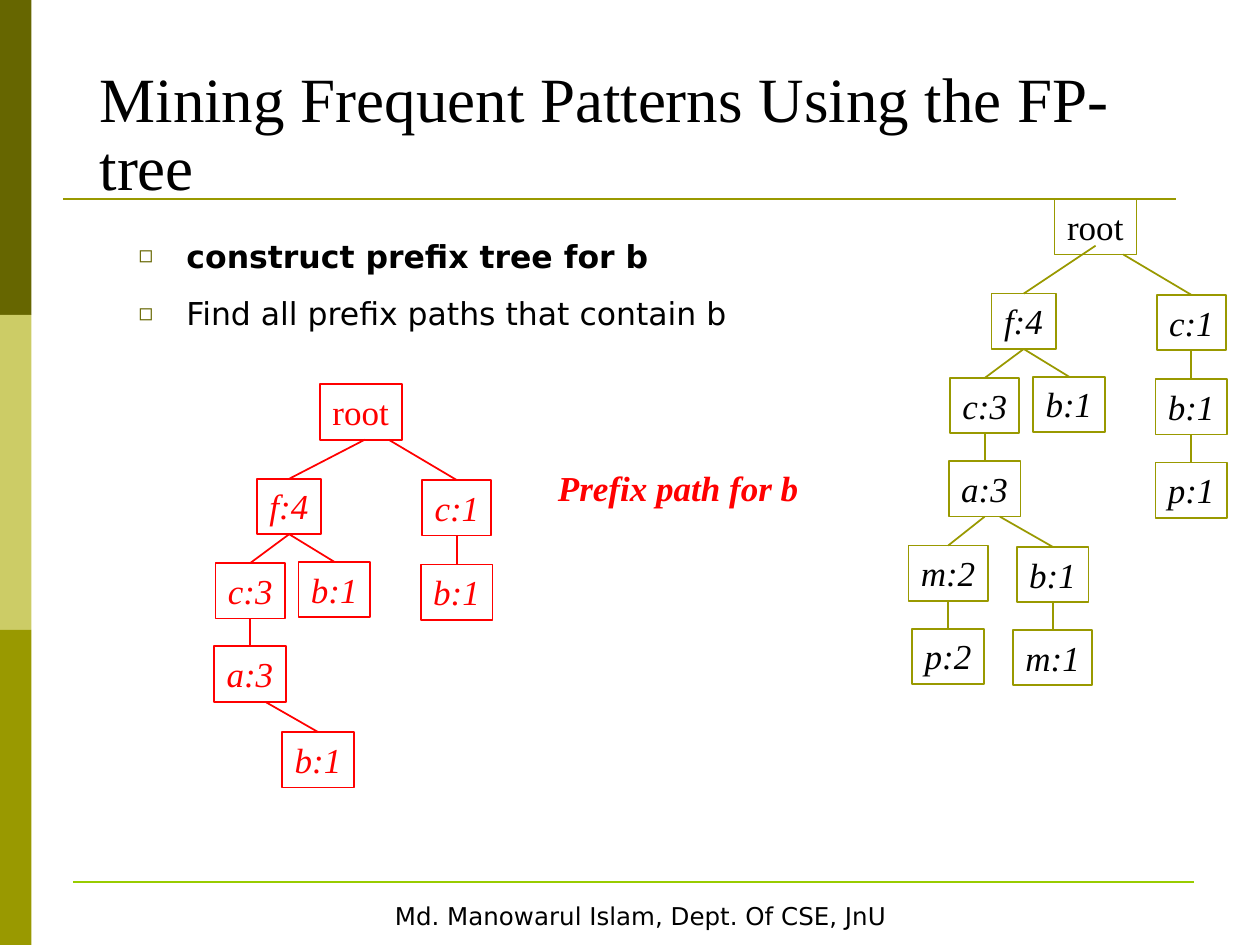
"""Build the slide on mining prefix paths for b from an FP-tree."""
import lxml.etree
import pptx
import pptx.dml.color
import pptx.enum.shapes
import pptx.enum.text
import pptx.oxml.ns
import pptx.util

RGB = pptx.dml.color.RGBColor
ALIGN = pptx.enum.text.PP_ALIGN
ANCHOR = pptx.enum.text.MSO_ANCHOR
AUTO_SIZE = pptx.enum.text.MSO_AUTO_SIZE
RECTANGLE = pptx.enum.shapes.MSO_SHAPE.RECTANGLE
STRAIGHT = pptx.enum.shapes.MSO_CONNECTOR.STRAIGHT

EMU_PER_PX = 9144
BLACK = RGB(0x00, 0x00, 0x00)
WHITE = RGB(0xFF, 0xFF, 0xFF)
RED = RGB(0xFF, 0x00, 0x00)
OLIVE = RGB(0x99, 0x99, 0x00)
DARK_OLIVE = RGB(0x66, 0x66, 0x00)
PALE_OLIVE = RGB(0xCC, 0xCC, 0x66)
LIME = RGB(0x98, 0xCC, 0x00)
SERIF = "Times New Roman"
SANS = "DejaVu Sans"

TITLE = "Mining Frequent Patterns Using the FP-tree"
BULLETS = [
    ("construct prefix tree for b", True, ALIGN.LEFT),
    ("Find all prefix paths that contain b", False, ALIGN.JUSTIFY),
]
CAPTION = "Prefix path for b"
FOOTER = "Md. Manowarul Islam, Dept. Of CSE, JnU"

SIDE_BANDS = [DARK_OLIVE, PALE_OLIVE, OLIVE]
RULES = [((50, 158), (933, 158), OLIVE), ((58, 700), (948, 700), LIME)]

NODE_HEIGHT = 44
NODE_RIGHT_INSET = 5
NODE_WIDTHS = {"r": 65, "f": 51, "c": 55, "a": 57, "b": 57, "p": 57, "m": 63}
# name: label, left, top, parent, shift of the branch start from the parent's centre
NODES = {
    "root": ("root", 837, 158, None, 0),
    "f": ("f:4", 787, 233, "root", 0),
    "f-c": ("c:3", 754, 300, "f", 0),
    "f-c-a": ("a:3", 753, 366, "f-c", 0),
    "f-c-a-m": ("m:2", 721, 433, "f-c-a", 0),
    "f-c-a-m-p": ("p:2", 724, 499, "f-c-a-m", 0),
    "f-c-a-b": ("b:1", 807, 434, "f-c-a", 12),
    "f-c-a-b-m": ("m:1", 804, 500, "f-c-a-b", 0),
    "f-b": ("b:1", 820, 299, "f", 0),
    "c": ("c:1", 918, 234, "root", 22),
    "c-b": ("b:1", 917, 301, "c", 0),
    "c-b-p": ("p:1", 917, 367, "c-b", 0),
}
PREFIX_NODES = ["root", "f", "f-c", "f-c-a", "f-c-a-b", "f-b", "c", "c-b"]
TREES = [
    (PREFIX_NODES, (-583, 147), RED, RED, {"f": (3, 0)}),
    (list(NODES), (0, 0), OLIVE, BLACK, {"f": (0, -7)}),
]


def px(length):
    return pptx.util.Emu(round(length * EMU_PER_PX))


def place(shape, left, top, width, height):
    shape.left, shape.top = px(left), px(top)
    shape.width, shape.height = px(width), px(height)


def add_span(para, text, size, face, color, bold=False, italic=False):
    span = para.add_run()
    span.text = text
    span.font.size = pptx.util.Pt(size)
    span.font.name = face
    span.font.color.rgb = color
    span.font.bold, span.font.italic = bold, italic


def add_box(shapes, left, top, width, height, fill=None, line=None, weight=1):
    box = shapes.add_shape(RECTANGLE, px(left), px(top), px(width), px(height))
    box.shadow.inherit = False
    if fill is None:
        box.fill.background()
    else:
        box.fill.solid()
        box.fill.fore_color.rgb = fill
    if line is None:
        box.line.fill.background()
    else:
        box.line.color.rgb = line
        box.line.width = pptx.util.Pt(weight)
    box.text_frame.word_wrap = False
    box.text_frame.vertical_anchor = ANCHOR.TOP
    return box


def add_line(shapes, start, end, color, weight):
    line = shapes.add_connector(STRAIGHT, px(start[0]), px(start[1]), px(end[0]), px(end[1]))
    line.line.color.rgb = color
    line.line.width = pptx.util.Pt(weight)
    lxml.etree.SubElement(line._element.spPr, pptx.oxml.ns.qn("a:effectLst"))


def add_bullet(para):
    props = para._p.get_or_add_pPr()
    props.set("marL", str(px(38)))
    props.set("indent", str(px(-38)))
    color = lxml.etree.SubElement(props, pptx.oxml.ns.qn("a:buClr"))
    lxml.etree.SubElement(color, pptx.oxml.ns.qn("a:srgbClr"), val=str(DARK_OLIVE))
    lxml.etree.SubElement(props, pptx.oxml.ns.qn("a:buSzPct"), val="75000")
    lxml.etree.SubElement(props, pptx.oxml.ns.qn("a:buChar"), char="◻")


def add_tree(slide, names, offset, line_color, text_color, start_shifts):
    shapes = slide.shapes.add_group_shape().shapes
    centres = {}
    for name in names:
        label, left, top, parent, branch_shift = NODES[name]
        left, top = left + offset[0], top + offset[1]
        width = NODE_WIDTHS[label[0]]
        centres[name] = (left + width / 2, top)
        box = add_box(shapes, left, top, width, NODE_HEIGHT, line=line_color)
        box.text_frame.auto_size = AUTO_SIZE.SHAPE_TO_FIT_TEXT
        box.text_frame.margin_right = px(NODE_RIGHT_INSET)
        para = box.text_frame.paragraphs[0]
        para.alignment = ALIGN.LEFT
        add_span(para, label, 20, SERIF, text_color, italic=parent is not None)
        if parent:
            parent_x, parent_top = centres[parent]
            shift_x, shift_y = start_shifts.get(name, (branch_shift, 0))
            start = (parent_x + shift_x, parent_top + NODE_HEIGHT + shift_y)
            add_line(shapes, start, centres[name], line_color, 1)


def main():
    deck = pptx.Presentation()
    deck.slide_width, deck.slide_height = px(1000), px(750)
    slide = deck.slides.add_slide(deck.slide_layouts[1])

    for row, color in enumerate(SIDE_BANDS):
        add_box(slide.shapes, 0, row * 250, 25, 250, fill=color)
    for start, end, color in RULES:
        add_line(slide.shapes, start, end, color, 1.5)

    footer = add_box(slide.shapes, 50, 710, 917, 35, WHITE, WHITE, 2)
    para = footer.text_frame.paragraphs[0]
    para.alignment = ALIGN.CENTER
    add_span(para, FOOTER, 14, SANS, BLACK)

    title = slide.shapes.title
    place(title, 69, 50, 892, 117)
    title.text_frame.auto_size = AUTO_SIZE.NONE
    title.text_frame.vertical_anchor = ANCHOR.BOTTOM
    para = title.text_frame.paragraphs[0]
    para.alignment = ALIGN.LEFT
    para.line_spacing = 0.9
    add_span(para, TITLE, 36, SERIF, BLACK)

    body = slide.placeholders[1]
    place(body, 100, 183, 861, 183)
    frame = body.text_frame
    frame.auto_size = AUTO_SIZE.NONE
    for index, (text, bold, alignment) in enumerate(BULLETS):
        para = frame.add_paragraph() if index else frame.paragraphs[0]
        add_bullet(para)
        para.alignment = alignment
        para.space_before = pptx.util.Pt(11.2 if index else 0)
        add_span(para, text, 18, SANS, BLACK, bold=bold)

    for tree in TREES:
        add_tree(slide, *tree)

    caption = slide.shapes.add_textbox(px(433), px(365), px(417), px(44))
    caption.text_frame.word_wrap = True
    caption.text_frame.auto_size = AUTO_SIZE.SHAPE_TO_FIT_TEXT
    add_span(caption.text_frame.paragraphs[0], CAPTION, 20, SERIF, RED, bold=True, italic=True)

    deck.save("out.pptx")


if __name__ == "__main__":
    main()
